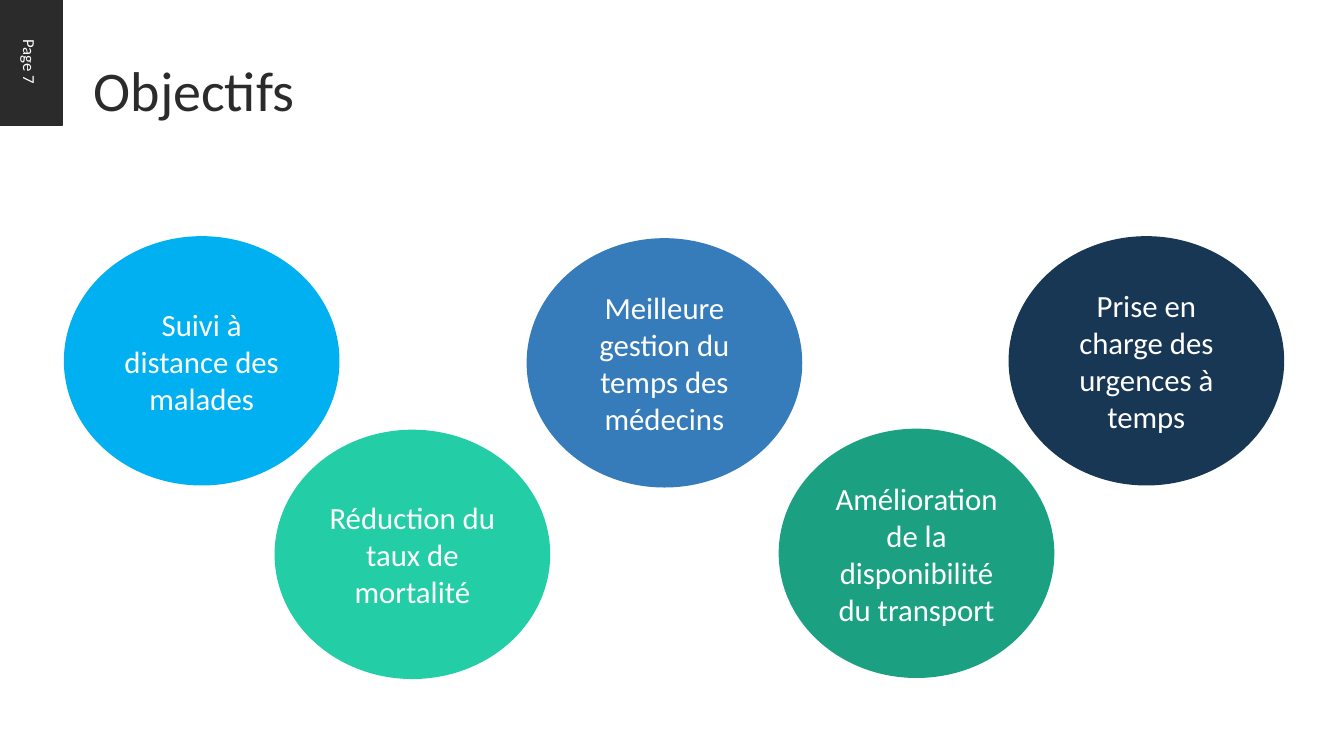
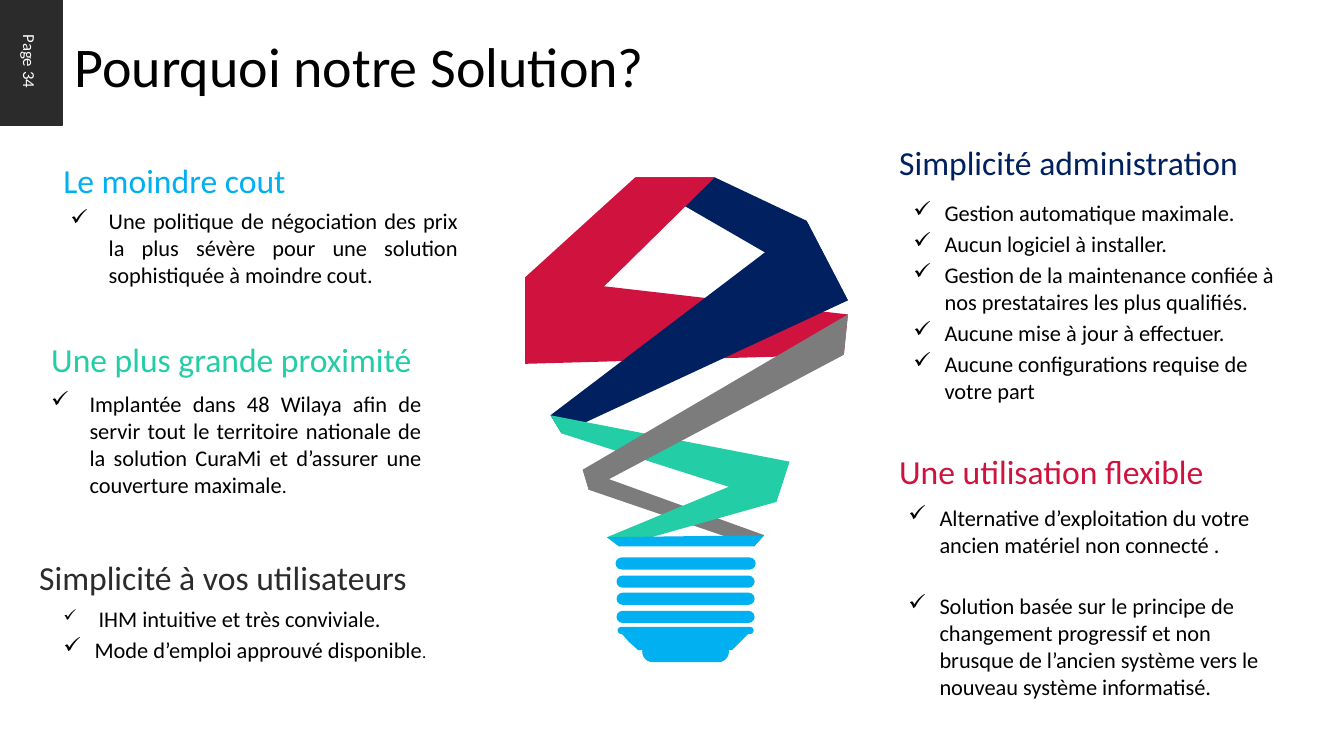
from dataclasses import dataclass

from lxml.etree import SubElement
from pptx import Presentation
from pptx.dml.color import RGBColor
from pptx.enum.shapes import MSO_SHAPE as Shape
from pptx.enum.text import MSO_ANCHOR as Anchor, PP_ALIGN as Align
from pptx.oxml.ns import qn
from pptx.util import Inches, Pt


# Colours and type sizes
@dataclass(frozen=True)
class Theme:
    font: str = "Calibri"
    ink: str = "2B2B2B"
    black: str = "000000"
    white: str = "FFFFFF"
    sky: str = "00B0F0"
    blue: str = "367BBA"
    mint: str = "23CDA5"
    green: str = "1BA181"
    night: str = "183754"
    navy: str = "002060"
    red: str = "CF123E"
    grey: str = "7C7C7C"
    title: int = 40
    heading: int = 24
    goal: int = 22
    body: int = 16
    page: int = 12


THEME = Theme()


@dataclass(frozen=True)
class Point:
    """A ticked line; the closing full stop may have its own size."""
    text: str
    stop_size: int = 0
    before: int = 3
    hang: float = 0.31
    tick_percent: int = 100


@dataclass(frozen=True)
class Argument:
    heading: str
    colour: str
    heading_box: tuple
    points_box: tuple
    points: tuple
    align: Align = Align.LEFT


GOAL_SIZE = (2.72, 2.46)
GOALS = (
    ("Suivi à distance des malades", THEME.sky, 0.64, 2.35),
    ("Meilleure gestion du temps des médecins", THEME.blue, 5.23, 2.37),
    ("Réduction du taux de mortalité", THEME.mint, 2.73, 4.27),
    ("Prise en charge des urgences à temps", THEME.night, 10.01, 2.35),
    ("Amélioration de la disponibilité du transport", THEME.green, 7.73, 4.26),
)

ARGUMENTS = (
    Argument("Le moindre cout", THEME.sky, (0.53, 1.54, 3.7, 0.5), (0.6, 2.01, 4.04, 1.11), (
        Point("Une politique de négociation des prix la plus sévère pour une solution "
              "sophistiquée à moindre cout.", before=0, hang=0.38),
    ), Align.JUSTIFY),
    Argument("Une plus grande proximité", THEME.mint, (0.41, 3.31, 4.04, 0.5), (0.41, 3.82, 3.87, 1.38), (
        Point("Implantée dans 48 Wilaya afin de servir tout le territoire nationale de la "
              "solution CuraMi et d’assurer une couverture maximale.", 14, before=0, hang=0.38),
    ), Align.JUSTIFY),
    Argument("Simplicité à vos utilisateurs", THEME.ink, (0.29, 5.48, 4.16, 0.5), (0.53, 5.95, 3.92, 0.9), (
        Point("IHM intuitive et très conviviale.", hang=0.35, tick_percent=75),
        Point("Mode d’emploi approuvé disponible.", 12),
    )),
    Argument("Simplicité administration", THEME.navy, (8.82, 1.36, 3.97, 0.5), (8.96, 1.93, 3.88, 2.4), (
        Point("Gestion automatique maximale."),
        Point("Aucun logiciel à installer."),
        Point("Gestion de la maintenance confiée à nos prestataires les plus qualifiés."),
        Point("Aucune mise à jour à effectuer."),
        Point("Aucune configurations requise de votre part"),
    )),
    Argument("Une utilisation flexible", THEME.red, (8.82, 4.42, 3.56, 0.57), (8.91, 4.95, 3.88, 2.3), (
        Point("Alternative d’exploitation du votre ancien matériel non connecté ."),
        Point("Solution basée sur le principe de changement progressif et non brusque de "
              "l’ancien système vers le nouveau système informatisé.", before=25),
    )),
)

# Corners shared by the ribbons of the light bulb, from top to bottom
CROWN_LEFT, CROWN_RIGHT, SHOULDER = (6.3, 1.76), (7.09, 1.76), (8, 2.19)
WEST_TOP, WEST_BOTTOM = (5.21, 2.75), (5.21, 3.61)
EAST_TIP, EAST_TOP, EAST_BOTTOM = (8.41, 2.98), (8.41, 3.12), (8.37, 3.52)
FOLD_TOP, FOLD_BOTTOM = (5.46, 4.12), (5.57, 4.3)
BEND_TOP, BEND_BOTTOM = (7.83, 4.58), (7.7, 4.98)
LOOP_TOP, LOOP_BOTTOM = (5.78, 4.66), (5.84, 4.86)
NECK = ((6.02, 5.33), (7.58, 5.31), (7.48, 5.42), (6.14, 5.42))

RIBBONS = (
    (THEME.navy, (CROWN_LEFT, EAST_TIP, SHOULDER, CROWN_RIGHT)),
    (THEME.red, (WEST_TOP, EAST_TOP, EAST_BOTTOM, WEST_BOTTOM)),
    (THEME.navy, (SHOULDER, FOLD_TOP, FOLD_BOTTOM, EAST_TIP)),
    (THEME.mint, (FOLD_TOP, BEND_TOP, BEND_BOTTOM, FOLD_BOTTOM)),
    (THEME.grey, (EAST_TOP, LOOP_TOP, LOOP_BOTTOM, EAST_BOTTOM)),
    (THEME.grey, (LOOP_TOP, NECK[1], NECK[2], LOOP_BOTTOM)),
    (THEME.red, (CROWN_LEFT, WEST_TOP, WEST_BOTTOM, CROWN_RIGHT)),
    (THEME.mint, (NECK[3], BEND_BOTTOM, BEND_TOP, NECK[0])),
    (THEME.sky, NECK),
)

# Screw of the bulb: top, width and height of each rounded thread
BULB_CENTRE = 6.8
THREADS = (
    (5.53, 1.39, 0.12), (5.71, 1.37, 0.12), (5.88, 1.37, 0.12),
    (6.06, 1.37, 0.12), (6.22, 1.35, 0.07), (6.36, 0.86, 0.21),
)
SCREW_CONE = ((6.16, 6.28), (6.24, 6.37), (6.33, 6.45), (7.26, 6.45), (7.33, 6.38), (7.43, 6.28))


# Helpers
def inches(lengths):
    return [Inches(length) for length in lengths]


def style(run, size, colour):
    run.font.name = THEME.font
    run.font.size = Pt(size)
    run.font.color.rgb = RGBColor.from_string(colour)


def paint(shape, colour, line_width=0):
    shape.shadow.inherit = False
    shape.fill.solid()
    shape.fill.fore_color.rgb = RGBColor.from_string(colour)
    if line_width:
        shape.line.color.rgb = RGBColor.from_string(colour)
        shape.line.width = Pt(line_width)
    else:
        shape.line.fill.background()


def add_label(slide, box, text, size, colour):
    frame = slide.shapes.add_textbox(*inches(box)).text_frame
    frame.word_wrap = True
    frame.text = text
    style(frame.paragraphs[0].runs[0], size, colour)


def add_block(slide, kind, box, colour, line_width, text, size):
    """A filled shape with centred white text."""
    block = slide.shapes.add_shape(kind, *inches(box))
    paint(block, colour, line_width)
    frame = block.text_frame
    frame.text = text
    frame.vertical_anchor = Anchor.MIDDLE
    frame.paragraphs[0].alignment = Align.CENTER
    style(frame.paragraphs[0].runs[0], size, THEME.white)
    return block


def add_tick(paragraph, point):
    props = paragraph._p.get_or_add_pPr()
    hang = Inches(point.hang)
    props.set("marL", str(hang))
    props.set("indent", str(-hang))
    SubElement(props, qn("a:buSzPct")).set("val", str(point.tick_percent * 1000))
    SubElement(props, qn("a:buChar")).set("char", "✓")


def add_points(slide, box, points, align):
    frame = slide.shapes.add_textbox(*inches(box)).text_frame
    frame.word_wrap = True
    for index, point in enumerate(points):
        paragraph = frame.paragraphs[0] if index == 0 else frame.add_paragraph()
        paragraph.alignment = align
        paragraph.space_before = Pt(point.before)
        add_tick(paragraph, point)
        paragraph.text = point.text[:-1] if point.stop_size else point.text
        style(paragraph.runs[0], THEME.body, THEME.black)
        if point.stop_size:
            stop = paragraph.add_run()
            stop.text = point.text[-1]
            style(stop, point.stop_size, THEME.black)


def add_outline(slide, corners, colour):
    start, *others = [inches(corner) for corner in corners]
    builder = slide.shapes.build_freeform(*start)
    builder.add_line_segments(others, close=True)
    paint(builder.convert_to_shape(), colour)


def add_bulb(slide):
    for top, width, height in THREADS:
        box = (BULB_CENTRE - width / 2, top, width, height)
        thread = slide.shapes.add_shape(Shape.ROUNDED_RECTANGLE, *inches(box))
        thread.adjustments[0] = 0.5
        paint(thread, THEME.sky)
    add_outline(slide, SCREW_CONE, THEME.sky)
    for colour, corners in RIBBONS:
        add_outline(slide, corners, colour)


def add_page(deck, number, title, title_box, title_colour):
    """A blank slide with its page tab and title."""
    slide = deck.slides.add_slide(deck.slide_layouts[6])
    tab = add_block(slide, Shape.RECTANGLE, (-0.34, 0.29, 1.27, 0.64), THEME.ink, 0.75,
                    f"Page {number}", THEME.page)
    tab.rotation = 90
    add_label(slide, title_box, title, THEME.title, title_colour)
    return slide


# Slides
def add_goals(deck):
    slide = add_page(deck, 7, "Objectifs", (0.83, 0.5, 7.09, 0.77), THEME.ink)
    for text, colour, left, top in GOALS:
        add_block(slide, Shape.OVAL, (left, top, *GOAL_SIZE), colour, 1, text, THEME.goal)


def add_arguments(deck):
    slide = add_page(deck, 34, "Pourquoi notre Solution?", (0.64, 0.26, 10.2, 0.77), THEME.black)
    for argument in ARGUMENTS:
        add_label(slide, argument.heading_box, argument.heading, THEME.heading, argument.colour)
        add_points(slide, argument.points_box, argument.points, argument.align)
    add_bulb(slide)


def main():
    deck = Presentation()
    deck.slide_width, deck.slide_height = Inches(13.33), Inches(7.5)
    add_goals(deck)
    add_arguments(deck)
    deck.save("out.pptx")


if __name__ == "__main__":
    main()
